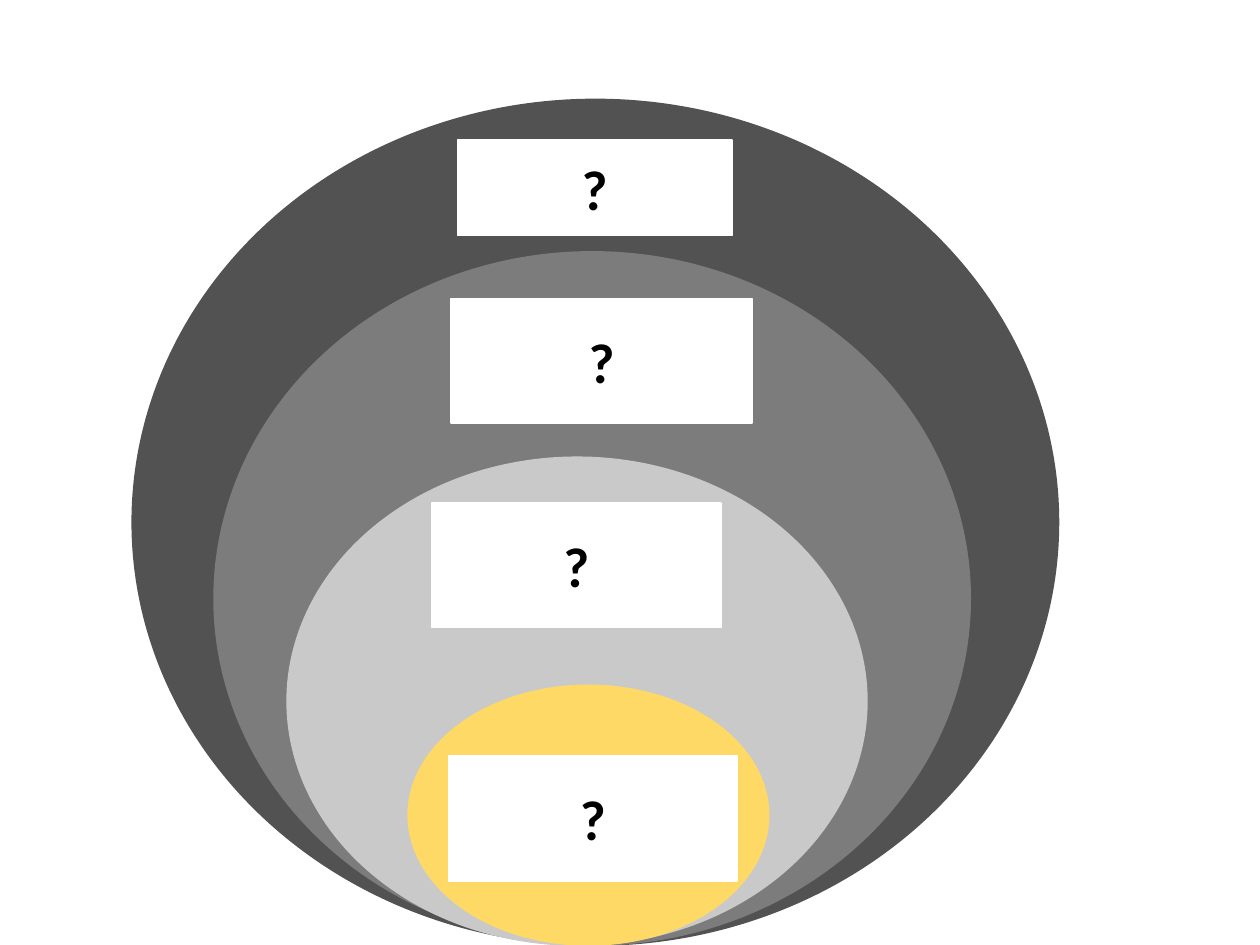
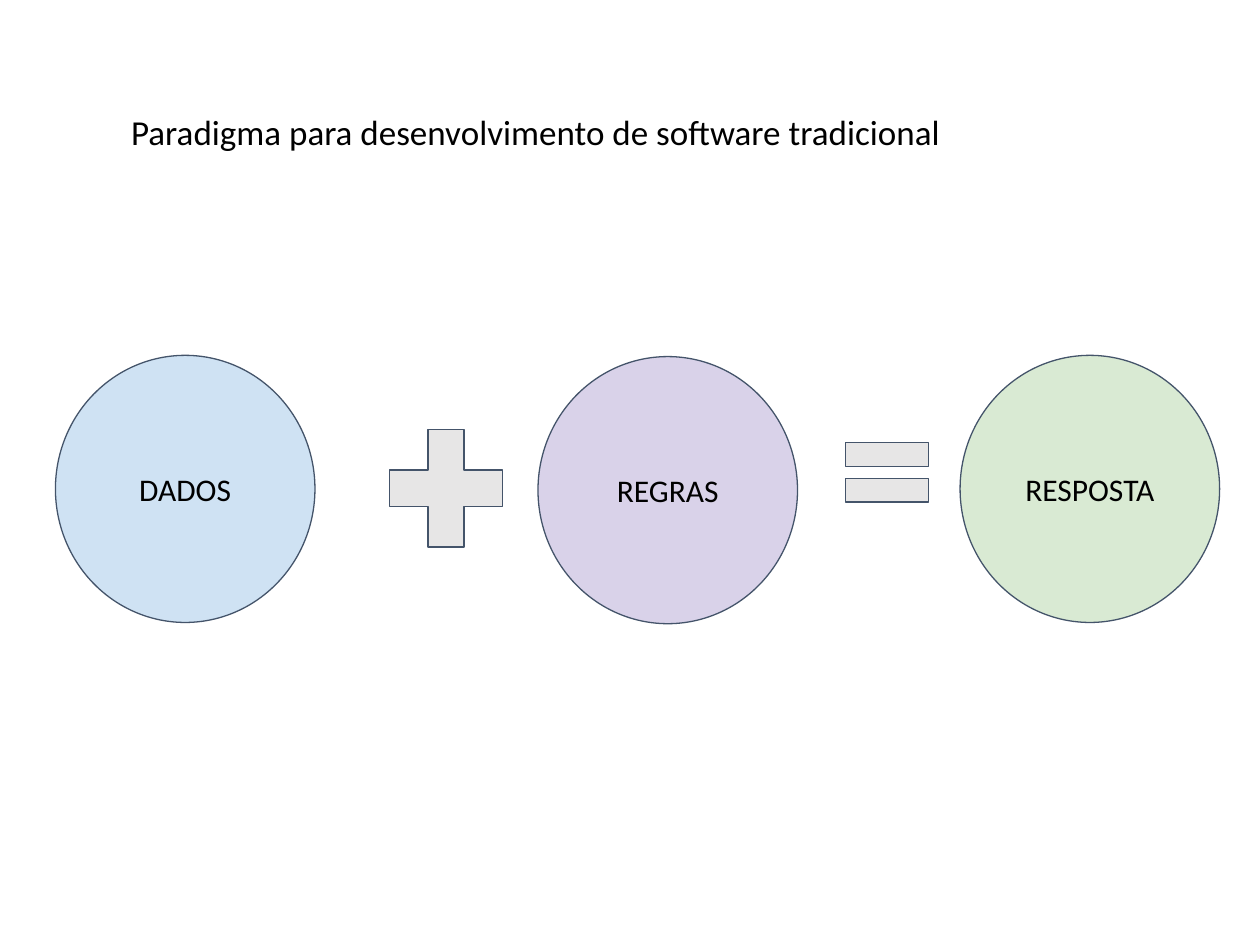
"""Build two slides: nested unknown fields and the traditional software paradigm."""
from dataclasses import dataclass

from pptx import Presentation
from pptx.dml.color import RGBColor
from pptx.enum.shapes import MSO_SHAPE
from pptx.enum.text import MSO_ANCHOR, MSO_AUTO_SIZE, PP_ALIGN
from pptx.presentation import Presentation as Deck
from pptx.shapes.autoshape import Shape
from pptx.slide import Slide
from pptx.text.text import TextFrame
from pptx.util import Inches, Pt

FONT = "Calibri"
BLACK = RGBColor(0x00, 0x00, 0x00)
WHITE = RGBColor(0xFF, 0xFF, 0xFF)
DARK_GRAY = RGBColor(0x52, 0x52, 0x52)
MID_GRAY = RGBColor(0x7C, 0x7C, 0x7C)
LIGHT_GRAY = RGBColor(0xC9, 0xC9, 0xC9)
YELLOW = RGBColor(0xFF, 0xD9, 0x66)
BLUE = RGBColor(0xCF, 0xE2, 0xF3)
PURPLE = RGBColor(0xD9, 0xD2, 0xE9)
GREEN = RGBColor(0xD9, 0xEA, 0xD3)
OPERATOR_GRAY = RGBColor(0xE7, 0xE6, 0xE6)
OUTLINE = RGBColor(0x44, 0x54, 0x6A)

TITLE_ONLY, BLANK = 5, 6
SLIDE_WIDTH, SLIDE_HEIGHT = 10, 7.5
CIRCLE_WIDTH, CIRCLE_HEIGHT = 2.06, 2.12


@dataclass(frozen=True)
class Box:
    left: float
    top: float
    width: float
    height: float


@dataclass(frozen=True)
class Layer:
    left: float
    top: float
    width: float
    color: RGBColor
    label: Box


@dataclass(frozen=True)
class Term:
    text: str
    left: float
    top: float
    color: RGBColor


@dataclass(frozen=True)
class Operator:
    kind: MSO_SHAPE
    box: Box
    adjustments: tuple[float, ...]


LAYERS = (
    Layer(1.05, 0.79, 7.35, DARK_GRAY, Box(3.63, 1.11, 2.18, 0.76)),
    Layer(1.7, 2, 6, MID_GRAY, Box(3.58, 2.37, 2.39, 0.99)),
    Layer(2.28, 3.63, 4.6, LIGHT_GRAY, Box(3.43, 3.99, 2.29, 0.99)),
    Layer(3.24, 5.44, 2.86, YELLOW, Box(3.56, 6, 2.29, 0.99)),
)
TERMS = (
    Term("DADOS", 0.44, 2.82, BLUE),
    Term("REGRAS", 4.27, 2.83, PURPLE),
    Term("RESPOSTA", 7.62, 2.82, GREEN),
)
OPERATORS = (
    Operator(MSO_SHAPE.MATH_PLUS, Box(2.93, 3.24, 1.22, 1.27), (0.235,)),
    Operator(MSO_SHAPE.MATH_EQUAL, Box(6.59, 3.35, 0.9, 0.8), (0.235, 0.118)),
)


def place(shape: Shape, box: Box) -> None:
    shape.left, shape.top = Inches(box.left), Inches(box.top)
    shape.width, shape.height = Inches(box.width), Inches(box.height)


def add_filled(slide: Slide, kind: MSO_SHAPE, box: Box, fill: RGBColor,
               line: RGBColor, line_width: float) -> Shape:
    shape = slide.shapes.add_shape(kind, 0, 0, 0, 0)
    place(shape, box)
    shape.shadow.inherit = False
    shape.fill.solid()
    shape.fill.fore_color.rgb = fill
    shape.line.color.rgb = line
    shape.line.width = Pt(line_width)
    return shape


def write(frame: TextFrame, text: str, size: int, bold: bool = False,
          align: PP_ALIGN = PP_ALIGN.CENTER,
          anchor: MSO_ANCHOR = MSO_ANCHOR.MIDDLE) -> None:
    frame.word_wrap = True
    frame.vertical_anchor = anchor
    frame.margin_left = frame.margin_right = Inches(0.1)
    frame.margin_top = frame.margin_bottom = Inches(0.1)
    frame.text = text
    paragraph = frame.paragraphs[0]
    paragraph.alignment = align
    paragraph.line_spacing = 1.0
    paragraph.space_before = Pt(0)
    paragraph.font.name = FONT
    paragraph.font.size = Pt(size)
    paragraph.font.bold = bold
    paragraph.font.color.rgb = BLACK


def build_layers(deck: Deck) -> None:
    slide = deck.slides.add_slide(deck.slide_layouts[BLANK])
    for layer in LAYERS:
        ring = Box(layer.left, layer.top, layer.width, SLIDE_HEIGHT - layer.top)
        add_filled(slide, MSO_SHAPE.OVAL, ring, layer.color, layer.color, 1)
        label = add_filled(slide, MSO_SHAPE.RECTANGLE, layer.label, WHITE, WHITE, 1)
        write(label.text_frame, "?", 32, bold=True)


def build_paradigm(deck: Deck) -> None:
    slide = deck.slides.add_slide(deck.slide_layouts[TITLE_ONLY])
    title = slide.shapes.title
    place(title, Box(0.94, 0.78, 7.71, 0.54))
    write(title.text_frame, "Paradigma para desenvolvimento de software tradicional",
          20, align=PP_ALIGN.LEFT, anchor=MSO_ANCHOR.TOP)
    title.text_frame.auto_size = MSO_AUTO_SIZE.SHAPE_TO_FIT_TEXT
    for term in TERMS:
        circle = Box(term.left, term.top, CIRCLE_WIDTH, CIRCLE_HEIGHT)
        shape = add_filled(slide, MSO_SHAPE.OVAL, circle, term.color, OUTLINE, 0.75)
        write(shape.text_frame, term.text, 18)
    for operator in OPERATORS:
        sign = add_filled(slide, operator.kind, operator.box, OPERATOR_GRAY, OUTLINE, 0.75)
        for index, value in enumerate(operator.adjustments):
            sign.adjustments[index] = value


def main() -> None:
    deck = Presentation()
    deck.slide_width, deck.slide_height = Inches(SLIDE_WIDTH), Inches(SLIDE_HEIGHT)
    build_layers(deck)
    build_paradigm(deck)
    deck.save("out.pptx")


if __name__ == "__main__":
    main()
